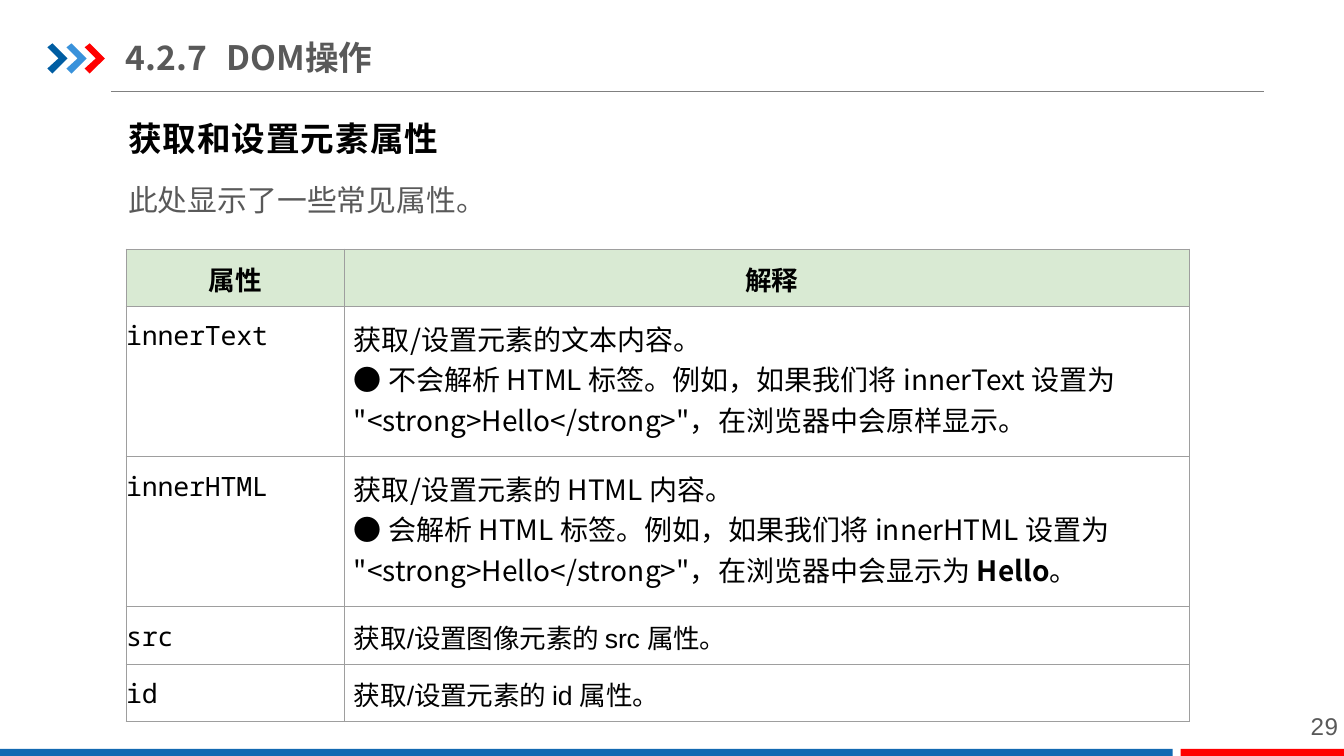
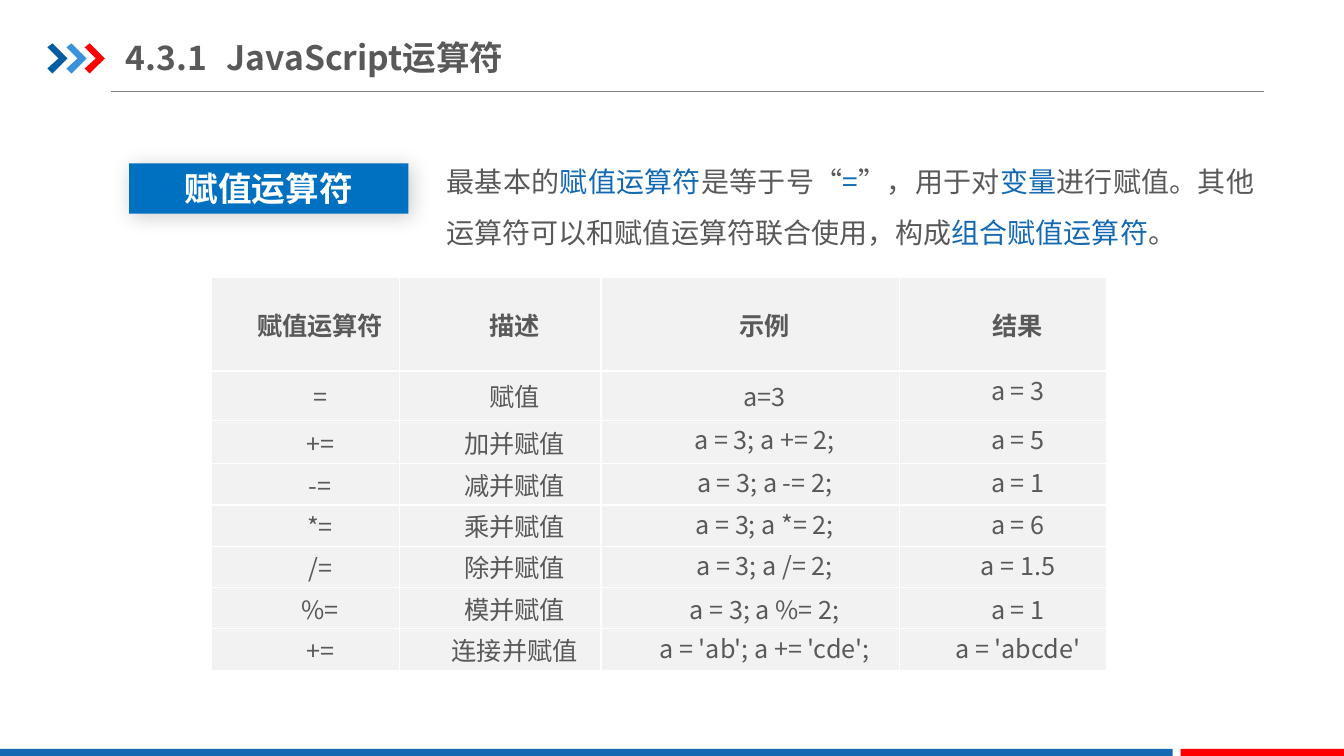
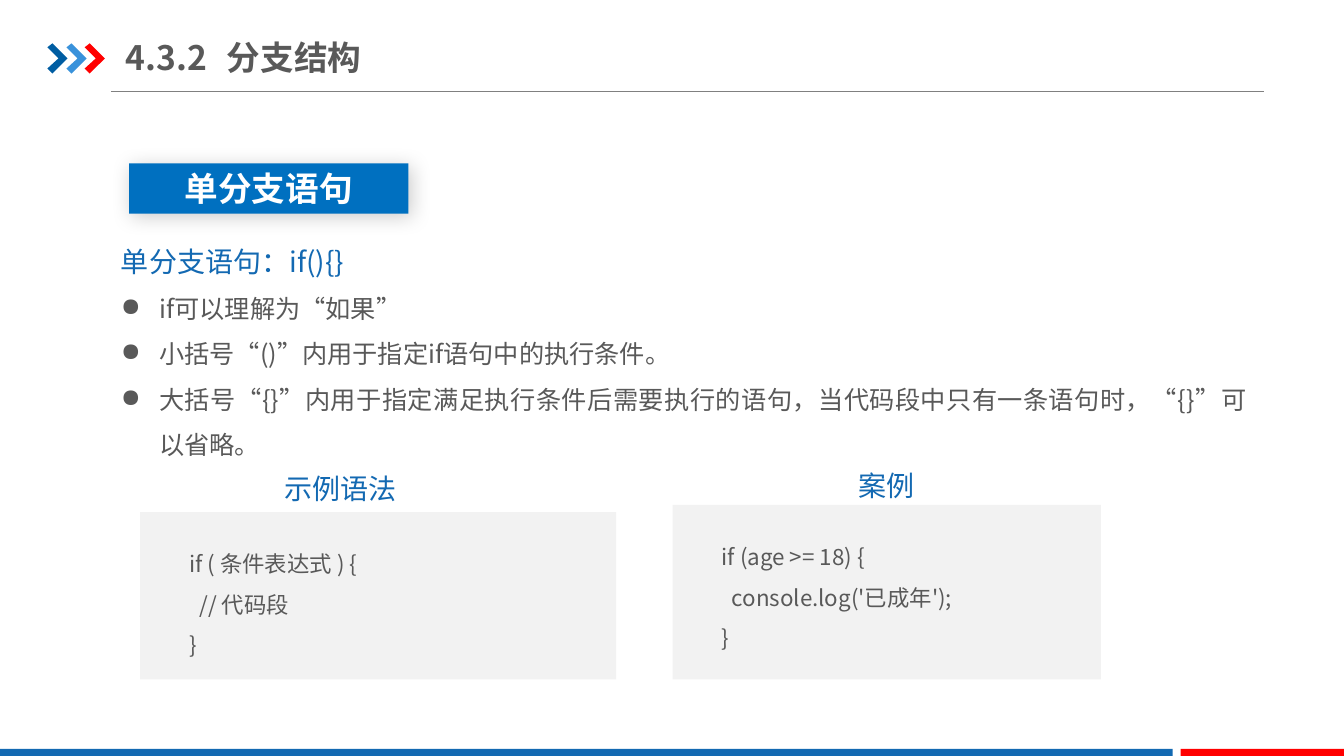
import dataclasses
import typing
import lxml.etree
import pptx
import pptx.dml.color
import pptx.enum.shapes
import pptx.enum.text
import pptx.oxml.ns
import pptx.util

PX = 9144
SANS = "Noto Sans CJK SC"
MONO = "Noto Sans Mono"
ARIAL = "Arial"
BLUE = "1369B2"
GREY = "595959"
BLACK = "000000"
WHITE = "FFFFFF"
PALE = "F2F2F2"
GREEN = "D9EAD3"
RED = "FF0000"
Align = pptx.enum.text.PP_ALIGN
Anchor = pptx.enum.text.MSO_ANCHOR
Insets = tuple[int, int, int, int]
WIDE: Insets = (13, 7, 13, 7)
PLAIN: Insets = (10, 5, 10, 5)
NONE: Insets = (0, 0, 0, 0)


@dataclasses.dataclass(frozen=True)
class Run:
    text: str
    size: float = 18
    tint: str = GREY
    bold: bool = False
    face: str = SANS
    space: int = 0


@dataclasses.dataclass(frozen=True)
class Para:
    runs: list[Run]
    align: typing.Any = Align.LEFT
    left: int = 0
    first: int = 0
    lead: float = 1.0
    dot: str = ""
    tab: int = 0


@dataclasses.dataclass(frozen=True)
class Box:
    x: int
    y: int
    w: int
    h: int


@dataclasses.dataclass(frozen=True)
class Cell:
    para: Para
    inset: Insets
    fill: str = ""
    anchor: typing.Any = Anchor.TOP


@dataclasses.dataclass(frozen=True)
class Panel:
    head: str
    label: Box
    back: Box
    code: Box
    lines: list[str]


def px(size: int) -> int:
    return size * PX


def place(box: Box) -> tuple[int, int, int, int]:
    return px(box.x), px(box.y), px(box.w), px(box.h)


def hue(code: str) -> pptx.dml.color.RGBColor:
    return pptx.dml.color.RGBColor.from_string(code)


def node(root: typing.Any, tag: str, **attrs: str) -> typing.Any:
    return lxml.etree.SubElement(root, pptx.oxml.ns.qn(f"a:{tag}"), attrs)


def paint(item: typing.Any, tint: str) -> None:
    item.fill.solid()
    item.fill.fore_color.rgb = hue(tint)


def write_run(line: typing.Any, run: Run) -> None:
    if run.text == "\n":
        line.add_line_break()
        return
    part = line.add_run()
    part.text = run.text
    font = part.font
    font.size = pptx.util.Pt(run.size)
    font.bold = run.bold
    font.color.rgb = hue(run.tint)
    font.name = run.face
    props = part._r.get_or_add_rPr()
    props.set("lang", "zh-CN")
    if run.space:
        props.set("spc", str(run.space))
    node(props, "ea", typeface=SANS)


def write(frame: typing.Any, paras: list[Para]) -> None:
    for i, para in enumerate(paras):
        line = frame.add_paragraph() if i else frame.paragraphs[0]
        props = line._p.get_or_add_pPr()
        props.set("marL", str(px(para.left)))
        props.set("indent", str(px(para.first)))
        if para.dot:
            node(props, "buChar", char=para.dot)
        if para.tab:
            node(node(props, "tabLst"), "tab", pos=str(px(para.tab)), algn="l")
        line.alignment = para.align
        line.line_spacing = para.lead
        for run in para.runs:
            write_run(line, run)


def inset(item: typing.Any, sides: Insets) -> None:
    item.margin_left, item.margin_top, item.margin_right, item.margin_bottom = map(px, sides)


def text(slide: typing.Any, box: Box, paras: list[Para], sides: Insets = NONE,
         anchor: typing.Any = Anchor.TOP) -> None:
    frame = slide.shapes.add_textbox(*place(box)).text_frame
    frame.word_wrap = True
    frame.vertical_anchor = anchor
    inset(frame, sides)
    write(frame, paras)


def bare(shape: typing.Any, tint: str) -> typing.Any:
    shape.shadow.inherit = False
    paint(shape, tint)
    shape.line.fill.background()
    return shape


def rect(slide: typing.Any, box: Box, tint: str) -> typing.Any:
    kind = pptx.enum.shapes.MSO_SHAPE.RECTANGLE
    return bare(slide.shapes.add_shape(kind, *place(box)), tint)


def tag(slide: typing.Any, label: str) -> None:
    shape = rect(slide, Box(128, 162, 277, 50), "0070C0")
    effect = shape._element.spPr.find(pptx.oxml.ns.qn("a:effectLst"))
    shade = node(effect, "outerShdw", blurRad="190500", dist="38100", dir="2700000",
                 algn="tl", rotWithShape="0")
    node(node(shade, "srgbClr", val=BLACK), "alpha", val="20000")
    frame = shape.text_frame
    frame.vertical_anchor = Anchor.MIDDLE
    write(frame, [Para([Run(label, 24, WHITE, True)], Align.CENTER)])


def grid(slide: typing.Any, x: int, y: int, cols: list[int], rows: list[int],
         cells: list[list[Cell]], edge: str, width: float) -> None:
    box = Box(x, y, sum(cols), sum(rows))
    table = slide.shapes.add_table(len(rows), len(cols), *place(box)).table
    table.first_row = table.horz_banding = False
    for col, size in zip(table.columns, cols):
        col.width = px(size)
    for row, size, items in zip(table.rows, rows, cells):
        row.height = px(size)
        for spot, cell in zip(row.cells, items):
            inset(spot, cell.inset)
            spot.vertical_anchor = cell.anchor
            props = spot._tc.get_or_add_tcPr()
            for side in ("lnL", "lnR", "lnT", "lnB"):
                line = node(props, side, w=str(pptx.util.Pt(width)))
                node(node(line, "solidFill"), "srgbClr", val=edge)
            if cell.fill:
                paint(spot, cell.fill)
            else:
                spot.fill.background()
            write(spot.text_frame, [cell.para])


def start(deck: typing.Any, code: str, name: str, gap: int = 96) -> typing.Any:
    slide = deck.slides.add_slide(deck.slide_layouts[6])
    rule = slide.shapes.add_connector(pptx.enum.shapes.MSO_CONNECTOR.STRAIGHT,
                                      px(110), px(91), px(1254), px(91))
    rule.line.color.rgb = hue("808080")
    rule.line.width = pptx.util.Pt(0.75)
    node(rule._element.spPr, "effectLst")
    group = slide.shapes.add_group_shape()
    for x, tint in ((47, "005DA2"), (66, "3992DB"), (84, RED)):
        build = group.shapes.build_freeform(x, 47, scale=PX)
        turns = ((5, 43), (20, 58), (5, 73), (0, 68), (11, 58))
        build.add_line_segments([(x + dx, y) for dx, y in turns], close=True)
        bare(build.convert_to_shape(), tint)
    rect(slide, Box(0, 743, 1163, 7), BLUE)
    rect(slide, Box(1171, 743, 162, 7), RED)
    title = Para([Run(f"{code}\t{name}", 24, GREY, True)], tab=gap)
    text(slide, Box(125, 29, 426, 55), [title], (0, 7, 0, 7), Anchor.MIDDLE)
    return slide


def dom(deck: typing.Any) -> None:
    slide = start(deck, "4.2.7", "DOM操作")
    text(slide, Box(1294, 706, 39, 29),
         [Para([Run("29", 17.3, face=ARIAL, space=30)], left=6)], anchor=Anchor.MIDDLE)
    text(slide, Box(72, 178, 1130, 38),
         [Para([Run("此处显示了一些常见属性。", 21.3, face=ARIAL, space=10)], left=55)],
         (0, 2, 0, 0))
    text(slide, Box(125, 115, 803, 42),
         [Para([Run("获取和设置元素属性", 24, BLACK, True, space=70)], left=2)],
         (0, 2, 0, 0), Anchor.MIDDLE)

    def big(words: str, bold: bool = False) -> Run:
        return Run(words, 20, BLACK, bold)

    def small(words: str, face: str = ARIAL, bold: bool = False) -> Run:
        return Run(words, 19, BLACK, bold, face, -10)

    sample = '设置为 "<strong>Hello</strong>"，在浏览器中会'
    facts = [
        ("innerText", [big("获取/设置元素的文本内容。"), big("\n"),
                       big(f"● 不会解析 HTML 标签。例如，如果我们将 innerText {sample}原样显示。")]),
        ("innerHTML", [big("获取/设置元素的 HTML 内容。"), big("\n"),
                       big(f"● 会解析 HTML 标签。例如，如果我们将 innerHTML {sample}显示为 "),
                       big("Hello", True), big("。")]),
        ("src", [small("获取/设置图像元素的 src 属性。")]),
        ("id", [small("获取/设置元素的 id 属性。")]),
    ]
    pad = (0, 11, 0, 0)
    cells = [[Cell(Para([small(word, bold=True)], Align.CENTER, left), pad, GREEN)
              for word, left in (("属性", 0), ("解释", 9))]]
    for name, runs in facts:
        cells.append([Cell(Para([small(name, MONO)]), pad), Cell(Para(runs, left=9), pad)])
    grid(slide, 125, 247, [217, 838], [57, 149, 149, 57, 57], cells, "9E9E9E", 0.75)


def assign(deck: typing.Any) -> None:
    slide = start(deck, "4.3.1", "JavaScript运算符")
    tag(slide, "赋值运算符")
    facts = [
        ("赋值运算符", "描述", "示例", "结果"),
        ("=", "赋值", "a=3", "a = 3"),
        ("+=", "加并赋值", "a = 3; a += 2;", "a = 5"),
        ("-=", "减并赋值", "a = 3; a -= 2;", "a = 1"),
        ("*=", "乘并赋值", "a = 3; a *= 2;", "a = 6"),
        ("/=", "除并赋值", "a = 3; a /= 2;", "a = 1.5"),
        ("%=", "模并赋值", "a = 3; a %= 2;", "a = 1"),
        ("+=", "连接并赋值", "a = 'ab'; a += 'cde';", "a = 'abcde'"),
    ]
    cells = []
    for i, fact in enumerate(facts):
        row = []
        for word in fact:
            high = " = " in word and fact[0] != "%="
            para = Para([Run(word, bold=i == 0)], Align.CENTER, first=29)
            row.append(Cell(para, (7, 0, 7, 0), PALE, Anchor.TOP if high else Anchor.MIDDLE))
        cells.append(row)
    grid(slide, 210, 275, [186, 200, 296, 206], [93, 49, 43] + [41] * 5, cells, WHITE, 1)
    words = ["最基本的", "赋值运算符", "是等于号“", "=", "”，用于对", "变量",
             "进行赋值。其他运算符可以和赋值运算符联合使用，构成", "组合赋值运算符", "。"]
    runs = [Run(word, 20, BLUE if i % 2 else GREY) for i, word in enumerate(words)]
    text(slide, Box(430, 140, 827, 114), [Para(runs, Align.JUSTIFY, lead=1.5)], WIDE)


def branch(deck: typing.Any) -> None:
    slide = start(deck, "4.3.2", "分支结构", 104)
    tag(slide, "单分支语句")
    points = ["if可以理解为“如果”", "小括号“()”内用于指定if语句中的执行条件。",
              "大括号“{}”内用于指定满足执行条件后需要执行的语句，当代码段中只有一条语句时，“{}”可以省略。"]
    paras = [Para([Run("单分支语句：if(){}", 20, BLUE)], Align.JUSTIFY, lead=1.5)]
    paras += [Para([Run(point)], Align.JUSTIFY, 38, -38, 1.5, "●") for point in points]
    text(slide, Box(107, 219, 1142, 246), paras, WIDE)
    panels = [
        Panel("示例语法", Box(240, 444, 196, 64), Box(139, 508, 472, 166),
              Box(178, 528, 417, 131), ["if ( 条件表达式 ) {", "  // 代码段", "}"]),
        Panel("案例", Box(781, 441, 196, 58), Box(667, 501, 425, 173),
              Box(706, 521, 362, 131), ["if (age >= 18) {", "  console.log('已成年');", "}"]),
    ]
    for panel in panels:
        rect(slide, panel.back, PALE)
        text(slide, panel.code, [Para([Run(line, 16)], lead=1.5) for line in panel.lines], PLAIN)
        text(slide, panel.label,
             [Para([Run(panel.head, 20, BLUE)], Align.CENTER, lead=1.5)], WIDE)


def main() -> None:
    deck = pptx.Presentation()
    deck.slide_width, deck.slide_height = px(1333), px(750)
    for make in (dom, assign, branch):
        make(deck)
    deck.save("out.pptx")


if __name__ == "__main__":
    main()
